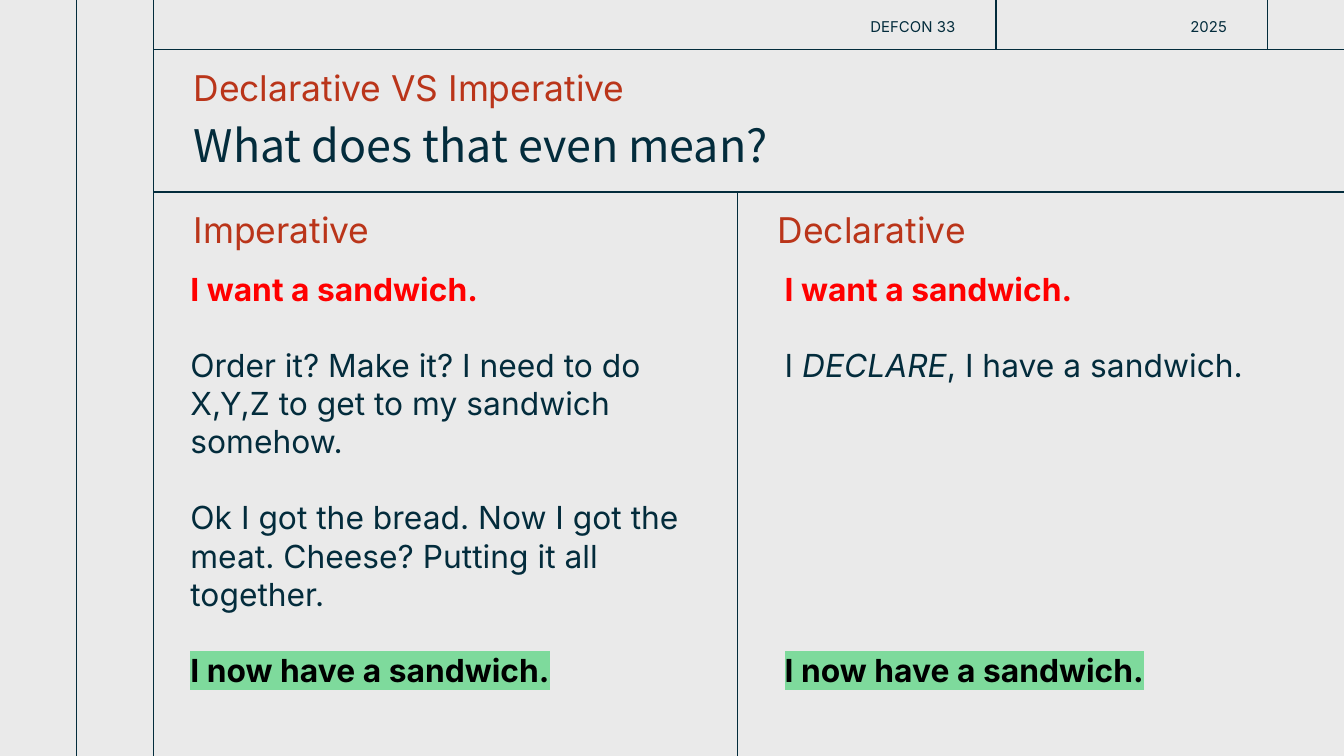
from lxml import etree
from pptx import Presentation
from pptx.dml.color import RGBColor
from pptx.enum.shapes import MSO_CONNECTOR as Connector
from pptx.enum.text import MSO_ANCHOR as Anchor, MSO_AUTO_SIZE as AutoSize, PP_ALIGN as Align
from pptx.oxml.ns import qn
from pptx.util import Cm, Pt

COLORS = {"background": "EAEAEA", "ink": "032C3C", "heading": "BA351A",
          "want": "FF0000", "have": "000000", "highlight": "7EDA9C"}
WIDTH, HEIGHT = 25.4, 14.29
RAIL, MARGIN, MIDDLE = 1.45, 2.9, 13.94
HEADER, RULE = 0.94, 3.63
EVENT_LEFT, EVENT_RIGHT, YEAR_RIGHT = 11.36, 18.82, 23.95
LINE = 20.4  # height of one body line in points


def set_frame(shape, box, insets, anchor=Anchor.MIDDLE):
    shape.left, shape.top, shape.width, shape.height = map(Cm, box)
    frame = shape.text_frame
    frame.word_wrap = True
    frame.auto_size = AutoSize.NONE
    frame.vertical_anchor = anchor
    (frame.margin_left, frame.margin_top,
     frame.margin_right, frame.margin_bottom) = map(Cm, insets)
    return frame


def add_run(paragraph, text, size, color, font="Inter", bold=False, italic=False):
    run = paragraph.add_run()
    run.text = text
    run.font.size = Pt(size)
    run.font.name = font
    run.font.bold = bold
    run.font.italic = italic
    run.font.color.rgb = RGBColor.from_string(COLORS[color])
    return run


presentation = Presentation()
presentation.slide_width, presentation.slide_height = Cm(WIDTH), Cm(HEIGHT)
slide = presentation.slides.add_slide(presentation.slide_layouts[5])
slide.background.fill.solid()
slide.background.fill.fore_color.rgb = RGBColor.from_string(COLORS["background"])

# Grid lines
for x1, y1, x2, y2 in [
    (EVENT_RIGHT, 0, EVENT_RIGHT, HEADER),
    (YEAR_RIGHT, 0, YEAR_RIGHT, HEADER),
    (RAIL, 0, RAIL, HEIGHT),
    (MARGIN, HEADER, WIDTH, HEADER),
    (MARGIN, RULE, WIDTH, RULE),
    (MARGIN, 0, MARGIN, HEIGHT),
    (MIDDLE, RULE, MIDDLE, HEIGHT),
]:
    line = slide.shapes.add_connector(Connector.STRAIGHT, Cm(x1), Cm(y1), Cm(x2), Cm(y2))
    line.line.width = Pt(0.75)
    line.line.color.rgb = RGBColor.from_string(COLORS["ink"])
    etree.SubElement(line._element.spPr, qn("a:effectLst"))

# Title
frame = set_frame(slide.shapes.title, (MARGIN, 1.85, 21.05, 1.78), (0.76, 0.25, 0.25, 0.25))
frame.paragraphs[0].alignment = Align.LEFT
add_run(frame.paragraphs[0], "What does that even mean?", 24, "ink", "Noto Sans CJK KR")

# Header labels
for text, left, right in [("DEFCON 33", EVENT_LEFT, EVENT_RIGHT),
                          ("2025", EVENT_RIGHT, YEAR_RIGHT)]:
    label = slide.shapes.add_textbox(0, 0, 0, 0)
    frame = set_frame(label, (left, 0, right - left, HEADER), (0.25, 0.25, 0.76, 0.25))
    paragraph = frame.paragraphs[0]
    paragraph.alignment = Align.RIGHT
    paragraph.line_spacing = 1.15
    add_run(paragraph, text, 8, "ink")

# Red headings
for text, left, top, width in [
    ("Declarative VS Imperative", MARGIN, HEADER, 14.4),
    ("Imperative", MARGIN, RULE, 11.05),
    ("Declarative", MIDDLE, RULE, 11.05),
]:
    heading = slide.shapes.add_textbox(0, 0, 0, 0)
    frame = set_frame(heading, (left, top, width, 1.17), (0.76, 0.25, 0.25, 0))
    add_run(frame.paragraphs[0], text, 19, "heading")

# Body columns: each paragraph is (lines of space before, runs of text and italic)
columns = [
    (3.35, 1, [
        (1, [("Order it? Make it? I need to do X,Y,Z to get to my sandwich somehow.", False)]),
        (1, [("Ok I got the bread. Now I got the meat. Cheese? Putting it all together.", False)]),
    ]),
    (14.58, 7, [
        (1, [("I ", False), ("DECLARE", True), (", I have a sandwich.", False)]),
    ]),
]
for left, last_gap, story in columns:
    body = slide.shapes.add_textbox(0, 0, 0, 0)
    frame = set_frame(body, (left, 4.85, 10.11, 9.02), (0.25,) * 4, Anchor.TOP)
    add_run(frame.paragraphs[0], "I want a sandwich.", 17, "want", bold=True)
    for gap, runs in story:
        paragraph = frame.add_paragraph()
        paragraph.space_before = Pt(gap * LINE)
        for text, italic in runs:
            add_run(paragraph, text, 17, "ink", italic=italic)
    paragraph = frame.add_paragraph()
    paragraph.space_before = Pt(last_gap * LINE)
    run = add_run(paragraph, "I now have a sandwich.", 17, "have", bold=True)
    highlight = etree.Element(qn("a:highlight"))
    etree.SubElement(highlight, qn("a:srgbClr"), val=COLORS["highlight"])
    run.font._element.find(qn("a:solidFill")).addnext(highlight)

presentation.save("out.pptx")
